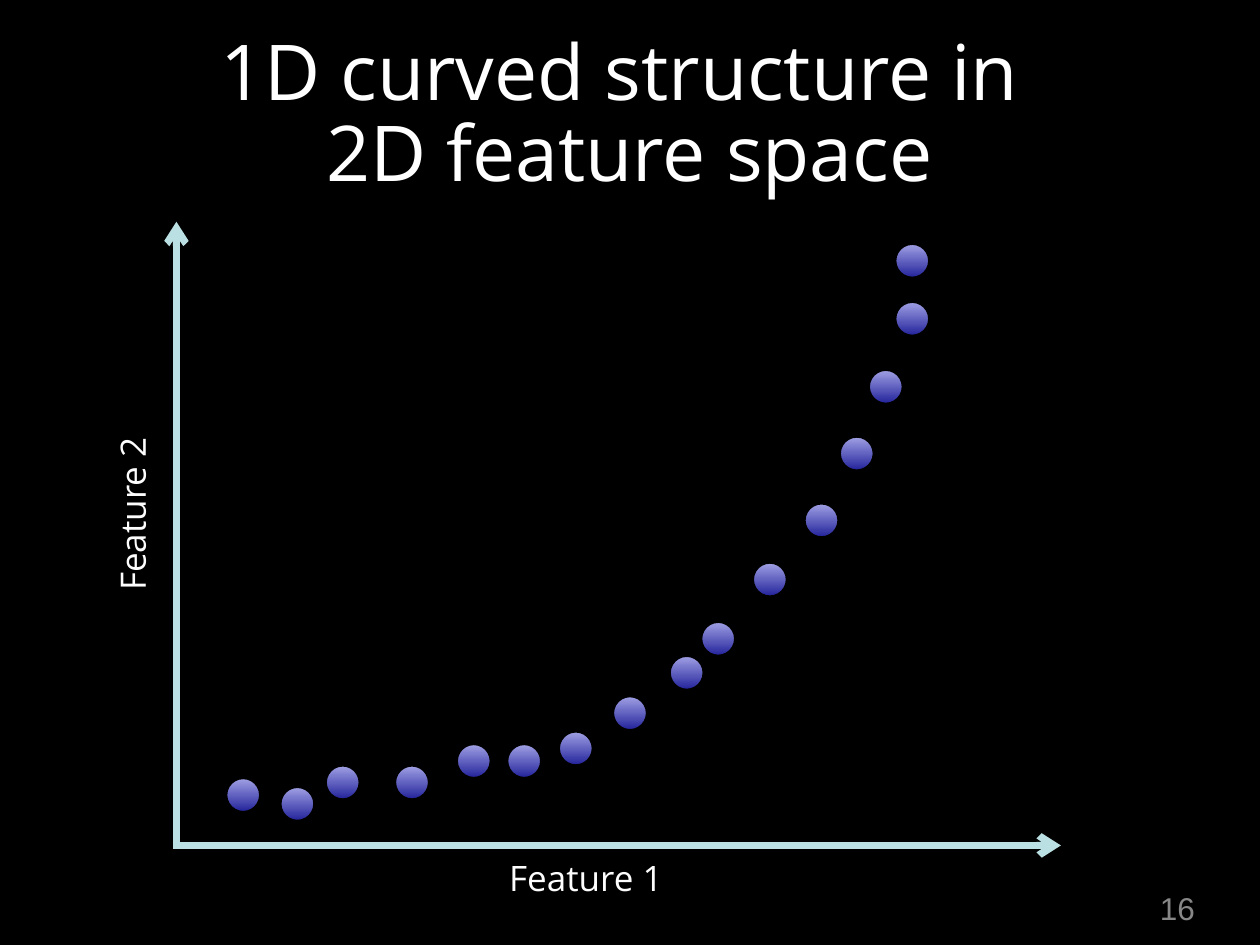
import lxml.etree
import pptx
import pptx.dml.color
import pptx.enum.shapes
import pptx.enum.text
import pptx.oxml.ns
import pptx.util

Inches = pptx.util.Inches
Pt = pptx.util.Pt
ALIGN = pptx.enum.text.PP_ALIGN
MIDDLE = pptx.enum.text.MSO_ANCHOR.MIDDLE

COLORS = {"back": "000000", "title": "FFFFFF", "label": "FDFDFD", "page": "878787",
          "axis": "BBE0E3", "low": "202099", "high": "A4A4E7"}
TITLE = ["1D curved structure in ", "2D feature space"]
# text, box, turn, size, font, colour, alignment
LABELS = [
    ("16", (9.13, 7.01, 0.43, 0.39), 0, 18, "Arial", "page", ALIGN.CENTER),
    ("Feature 1", (3.99, 6.75, 1.38, 0.42), 0, 20, "Open Sans", "label", ALIGN.LEFT),
    ("Feature 2", (0.35, 3.84, 1.38, 0.42), 270, 20, "Open Sans", "label", ALIGN.LEFT),
]
AXES = [(1.37, 6.71, 8.42, 6.71), (1.4, 6.72, 1.4, 1.76)]
DOT = 0.28
DOTS = [(1.79, 6.17), (2.22, 6.24), (2.58, 6.07), (3.13, 6.07),
        (3.62, 5.9), (4.02, 5.9), (4.43, 5.8), (4.86, 5.52),
        (5.31, 5.2), (5.56, 4.93), (5.97, 4.46), (6.38, 3.99),
        (6.66, 3.46), (6.89, 2.93), (7.1, 2.39), (7.1, 1.93)]


def color(name):
    return pptx.dml.color.RGBColor.from_string(COLORS[name])


def inset(frame, gap):
    frame.margin_left = frame.margin_right = Inches(gap)
    frame.margin_top = frame.margin_bottom = Inches(gap)


def write(para, text, size, font, tint, align):
    para.alignment = align
    run = para.add_run()
    run.text = text
    run.font.size = Pt(size)
    run.font.name = font
    run.font.color.rgb = color(tint)


def add_title(slide):
    title = slide.shapes.title
    title.left, title.top, title.width, title.height = map(Inches, (0.5, 0.1, 9, 1.65))
    frame = title.text_frame
    frame.auto_size = pptx.enum.text.MSO_AUTO_SIZE.NONE
    frame.vertical_anchor = MIDDLE
    inset(frame, 0.04)
    for i, line in enumerate(TITLE):
        para = frame.add_paragraph() if i else frame.paragraphs[0]
        para.line_spacing = 0.88
        para.space_before = Pt(0)
        write(para, line, 44, "Open Sans", "title", ALIGN.CENTER)


def add_label(slide, text, box, turn, size, font, tint, align):
    label = slide.shapes.add_textbox(*map(Inches, box))
    label.rotation = turn
    frame = label.text_frame
    frame.word_wrap = False
    frame.auto_size = pptx.enum.text.MSO_AUTO_SIZE.SHAPE_TO_FIT_TEXT
    if tint == "page":
        frame.vertical_anchor = MIDDLE
    inset(frame, 0.05)
    write(frame.paragraphs[0], text, size, font, tint, align)


def add_axis(group, ends):
    axis = group.shapes.add_connector(
        pptx.enum.shapes.MSO_CONNECTOR.STRAIGHT, *map(Inches, ends))
    axis.line.color.rgb = color("axis")
    axis.line.width = Pt(4)
    qn = pptx.oxml.ns.qn
    props = axis.line.color and axis._element.spPr
    lxml.etree.SubElement(props.find(qn("a:ln")), qn("a:tailEnd"), type="arrow")
    lxml.etree.SubElement(props, qn("a:effectLst"))


def add_dot(slide, left, top):
    dot = slide.shapes.add_shape(
        pptx.enum.shapes.MSO_SHAPE.OVAL, *map(Inches, (left, top, DOT, DOT)))
    dot.shadow.inherit = False
    dot.fill.gradient()
    dot.fill.gradient_angle = 90
    for stop, place, tint in zip(dot.fill.gradient_stops, (0, 1), ("low", "high")):
        stop.position = place
        stop.color.rgb = color(tint)
    dot.line.color.rgb = color("back")
    dot.line.width = Pt(2)


def main():
    deck = pptx.Presentation()
    deck.slide_width, deck.slide_height = Inches(10), Inches(7.5)
    slide = deck.slides.add_slide(deck.slide_layouts[5])
    slide.background.fill.solid()
    slide.background.fill.fore_color.rgb = color("back")
    add_title(slide)
    axes = slide.shapes.add_group_shape()
    for ends in AXES:
        add_axis(axes, ends)
    for label in LABELS:
        add_label(slide, *label)
    for spot in DOTS:
        add_dot(slide, *spot)
    deck.save("out.pptx")


if __name__ == "__main__":
    main()
